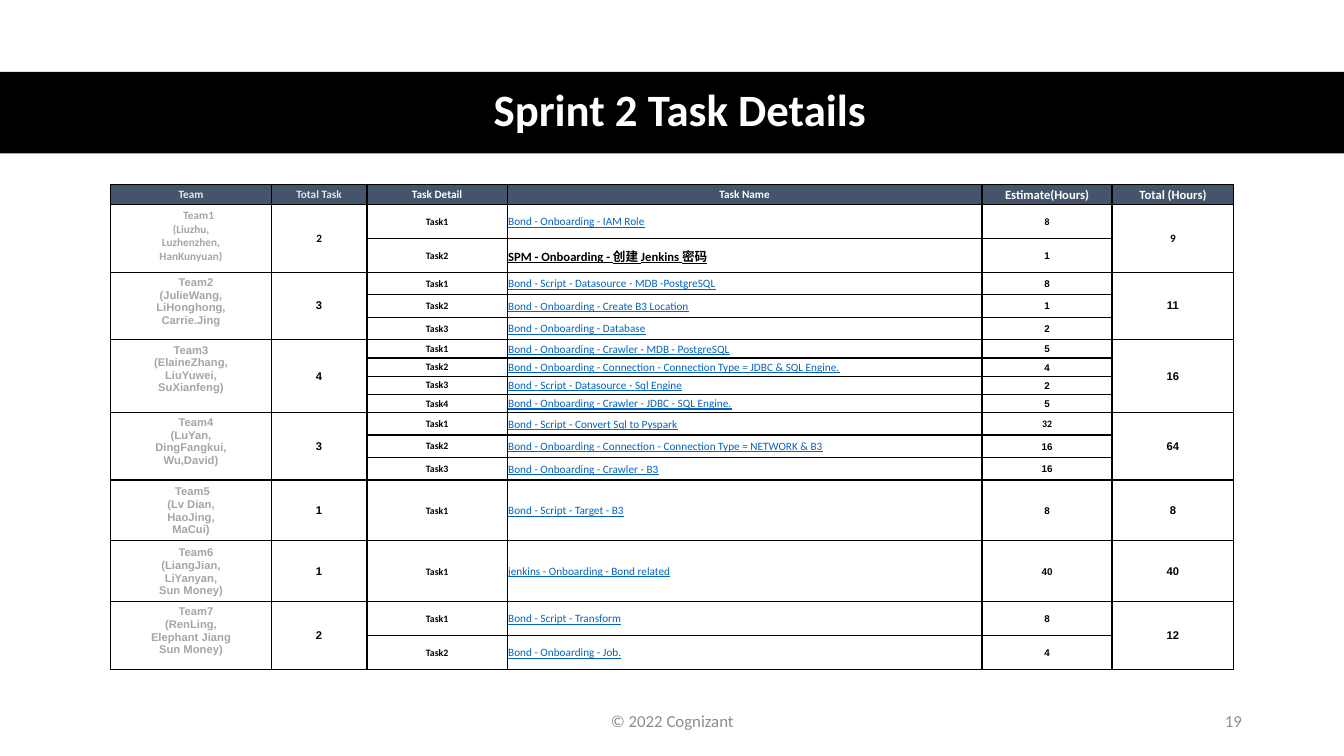
from lxml.etree import SubElement
from pptx import Presentation
from pptx.dml.color import RGBColor
from pptx.enum.shapes import MSO_SHAPE
from pptx.enum.text import MSO_ANCHOR, PP_ALIGN
from pptx.oxml.ns import qn
from pptx.util import Inches, Pt

BLACK, WHITE, SLATE, PALE = "000000", "FFFFFF", "44546A", "E7E6E6"
TEAM_GREY, FOOTER_GREY, LINK_BLUE = "A5A5A5", "8C8C8C", "0563C1"
CJK_FONT = "Noto Sans CJK SC"
TIGHT = (0.01, 0.01, 0.01, 0)
ROOMY = (0.08, 0.04, 0.08, 0.04)

# Table sizes in percent of the slide
COLUMN_WIDTHS = [11.93, 7.13, 10.43, 35.33, 9.67, 9.07]
HEADER_HEIGHT = 2.67
TEAM_HEIGHTS = {1: 8.05, 2: 8.95, 3: 8.95, 4: 9.6}  # by number of tasks

# Heading, size, colour
HEADINGS = [
    ("Team", 8, PALE), ("Total Task", 8, PALE), ("Task Detail", 8, WHITE),
    ("Task Name", 8, WHITE), ("Estimate(Hours)", 9, WHITE), ("Total (Hours)", 9, WHITE),
]

# Team, first-line indent in points, members, tasks with hours
TEAMS = [
    ("Team1", 11, ["(Liuzhu,", "Luzhenzhen,", "HanKunyuan)"], [
        ("Bond - Onboarding - IAM Role", 8),
        ("SPM - Onboarding - 创建 Jenkins 密码", 1)]),
    ("Team2", 7, ["(JulieWang,", "LiHonghong,", "Carrie.Jing"], [
        ("Bond - Script - Datasource - MDB -PostgreSQL", 8),
        ("Bond - Onboarding - Create B3 Location", 1),
        ("Bond - Onboarding - Database", 2)]),
    ("Team3", 0, ["(ElaineZhang,", "LiuYuwei,", "SuXianfeng)"], [
        ("Bond - Onboarding - Crawler - MDB - PostgreSQL", 5),
        ("Bond - Onboarding - Connection - Connection Type = JDBC & SQL Engine.", 4),
        ("Bond - Script - Datasource - Sql Engine", 2),
        ("Bond - Onboarding - Crawler - JDBC - SQL Engine.", 5)]),
    ("Team4", 7, ["(LuYan,", "DingFangkui,", "Wu,David)"], [
        ("Bond - Script - Convert Sql to Pyspark", 32),
        ("Bond - Onboarding - Connection - Connection Type = NETWORK & B3", 16),
        ("Bond - Onboarding - Crawler - B3", 16)]),
    ("Team5", 2, ["(Lv Dian,", "HaoJing,", "MaCui)"], [
        ("Bond - Script - Target - B3", 8)]),
    ("Team6", 7, ["(LiangJian,", "LiYanyan,", "Sun Money)"], [
        ("jenkins - Onboarding - Bond related", 40)]),
    ("Team7", 7, ["(RenLing,", "Elephant Jiang", "Sun Money)"], [
        ("Bond - Script - Transform", 8),
        ("Bond - Onboarding - Job.", 4)]),
]
CALIBRI_HOURS = {("Team1", 1), ("Team4", 1)}


def color(hex_string):
    return RGBColor.from_string(hex_string)


class SlideBuilder:
    """Places elements by percent of the slide's width and height."""

    def __init__(self, deck):
        self.deck = deck
        self.slide = deck.slides.add_slide(deck.slide_layouts[6])

    def across(self, percent):
        return round(self.deck.slide_width * percent / 100)

    def down(self, percent):
        return round(self.deck.slide_height * percent / 100)

    def area(self, left, top, width, height):
        return self.across(left), self.down(top), self.across(width), self.down(height)

    def style(self, paragraph, size, ink, font="Calibri", bold=False,
              align=PP_ALIGN.CENTER, underline=False):
        paragraph.alignment = align
        for span in paragraph.runs:
            span.font.name, span.font.size = font, Pt(size)
            span.font.bold, span.font.underline = bold, underline
            span.font.color.rgb = color(ink)
            SubElement(span.font._element, qn("a:ea")).set("typeface", CJK_FONT)

    def band(self, left, top, width, height, fill):
        shape = self.slide.shapes.add_shape(MSO_SHAPE.RECTANGLE,
                                            *self.area(left, top, width, height))
        shape.shadow.inherit = False
        shape.fill.solid()
        shape.fill.fore_color.rgb = color(fill)
        shape.line.fill.background()

    def text(self, words, left, top, width, height, size, ink, **look):
        frame = self.slide.shapes.add_textbox(
            *self.area(left, top, width, height)).text_frame
        frame.word_wrap = True
        frame.vertical_anchor = MSO_ANCHOR.MIDDLE
        frame.text = words
        self.style(frame.paragraphs[0], size, ink, **look)
        return frame.paragraphs[0]

    def table(self, left, top, widths, heights):
        table = self.slide.shapes.add_table(
            len(heights), len(widths),
            *self.area(left, top, sum(widths), sum(heights))).table
        for column, width in zip(table.columns, widths):
            column.width = self.across(width)
        for row, height in zip(table.rows, heights):
            row.height = self.down(height)
        for cell in table.iter_cells():
            self.border(cell)
            cell.fill.background()
        return table

    def border(self, cell):
        properties = cell._tc.get_or_add_tcPr()
        for side in ("a:lnL", "a:lnR", "a:lnT", "a:lnB"):
            line = SubElement(properties, qn(side), w=str(Pt(1)))
            fill = SubElement(line, qn("a:solidFill"))
            SubElement(fill, qn("a:srgbClr"), val=BLACK)

    def cell(self, cell, words, size, ink, insets=TIGHT, anchor=MSO_ANCHOR.MIDDLE,
             fill=None, indent=0, bold=True, **look):
        cell.margin_left, cell.margin_top, cell.margin_right, cell.margin_bottom = (
            Inches(inset) for inset in insets)
        cell.vertical_anchor = anchor
        cell.text = words
        if fill:
            cell.fill.solid()
            cell.fill.fore_color.rgb = color(fill)
        paragraph = cell.text_frame.paragraphs[0]
        if indent:
            paragraph._p.get_or_add_pPr().set("indent", str(Pt(indent)))
        self.style(paragraph, size, ink, bold=bold, **look)


def main():
    deck = Presentation()
    deck.slide_width, deck.slide_height = Inches(13.33), Inches(7.5)
    page = SlideBuilder(deck)

    # Title band
    page.band(0, 9.5, 100, 10.8, BLACK)
    title = page.text("Sprint 2 Task Details", 4.6, 9.35, 92, 10.8, 32, WHITE, bold=True)
    title.line_spacing = 0.9

    # Task table
    heights = [HEADER_HEIGHT]
    for *_, tasks in TEAMS:
        heights += [TEAM_HEIGHTS[len(tasks)] / len(tasks)] * len(tasks)
    table = page.table(8.25, 24.4, COLUMN_WIDTHS, heights)
    for column, (heading, size, ink) in enumerate(HEADINGS):
        page.cell(table.cell(0, column), heading, size, ink, fill=SLATE)

    # One block of rows per team
    first = 1
    for team, indent, members, tasks in TEAMS:
        last = first + len(tasks) - 1
        merged = last > first
        if merged:
            for column in (0, 1, 5):
                table.cell(first, column).merge(table.cell(last, column))
        font = "Calibri" if team == "Team1" else "Arial"
        insets = ROOMY if merged else TIGHT
        page.cell(table.cell(first, 0), "\v".join([team, *members]), 8, TEAM_GREY,
                  insets=insets, font=font, indent=indent,
                  anchor=MSO_ANCHOR.TOP if merged else MSO_ANCHOR.MIDDLE)
        total_hours = sum(hours for _, hours in tasks)
        for column, total in ((1, len(tasks)), (5, total_hours)):
            page.cell(table.cell(first, column), str(total), 8, BLACK,
                      insets=insets, font=font)

        for number, (name, hours) in enumerate(tasks, 1):
            row = first + number - 1
            plain = name.startswith("SPM")
            page.cell(table.cell(row, 2), f"Task{number}", 7, BLACK)
            page.cell(table.cell(row, 3), name, 9 if plain else 8,
                      BLACK if plain else LINK_BLUE, bold=plain,
                      align=PP_ALIGN.LEFT, underline=True)
            page.cell(table.cell(row, 4), str(hours), 7, BLACK,
                      font="Calibri" if (team, number) in CALIBRI_HOURS else "Arial")
        first = last + 1

    # Footer
    page.text("© 2022 Cognizant", 33.15, 92.7, 33.75, 5.3, 12, FOOTER_GREY)
    page.text("19", 70.65, 92.7, 22.5, 5.3, 12, FOOTER_GREY, align=PP_ALIGN.RIGHT)

    deck.save("out.pptx")


if __name__ == "__main__":
    main()
